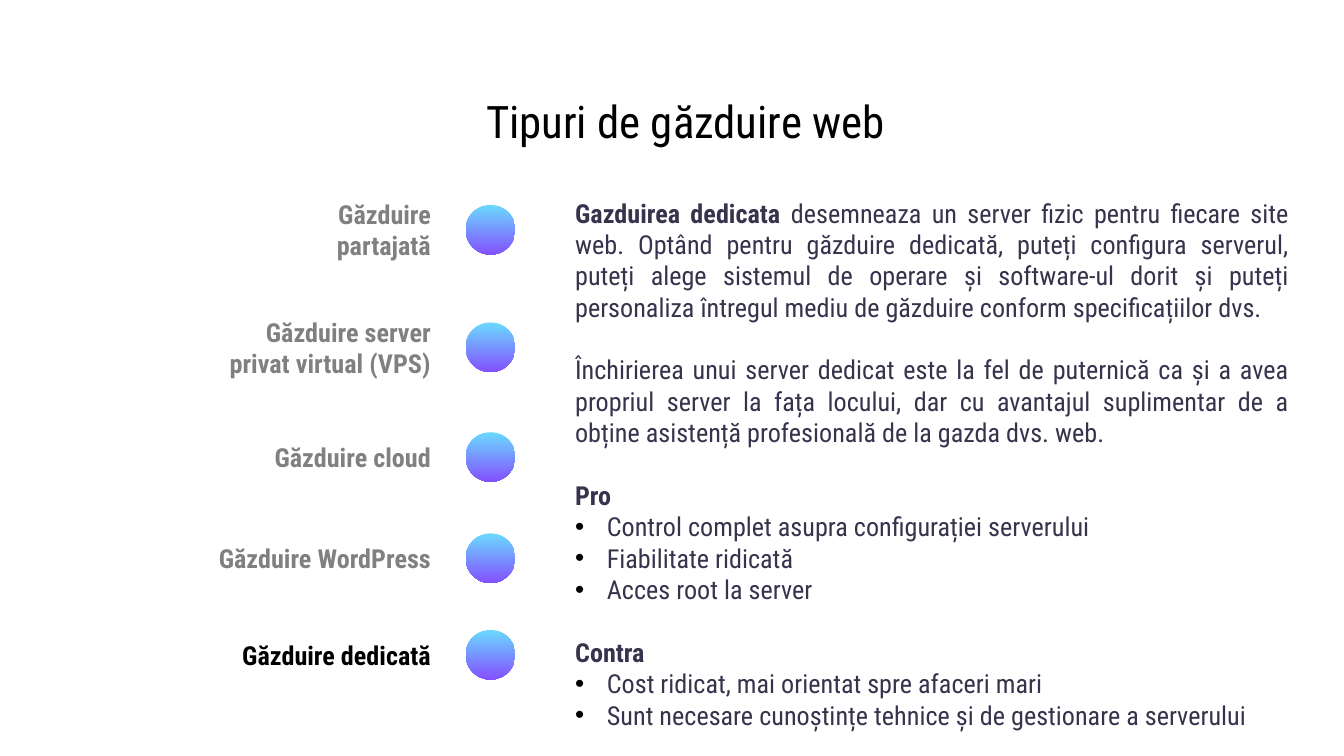
from lxml import etree
from pptx import Presentation
from pptx.dml.color import RGBColor as RGB
from pptx.enum.shapes import MSO_SHAPE as SHAPE
from pptx.enum.text import MSO_ANCHOR as ANCHOR, PP_ALIGN as ALIGN
from pptx.oxml.ns import qn
from pptx.util import Pt

COLORS = {
    "black": "000000",
    "muted": "808080",
    "body": "36344D",
    "dot_top": "6BD9FE",
    "dot_bottom": "8450FF",
}
FONT = "Roboto Condensed"
DOT_LEFT, DOT_SIZE = 249.5, 26.6
LABEL_RIGHT = 238
LINE, INDENT = 16.8, 17

TYPES = [
    ("Găzduire partajată", 109.8, 108),
    ("Găzduire server\nprivat virtual (VPS)", 172.8, 141),
    ("Găzduire cloud", 231.6, 151),
    ("Găzduire WordPress", 285.8, 132),
    ("Găzduire dedicată", 337.5, 132),
]
INTRO = [
    ("Gazduirea dedicata ",
     "desemneaza un server fizic pentru fiecare site web. Optând pentru găzduire "
     "dedicată, puteți configura serverul, puteți alege sistemul de operare și "
     "software-ul dorit și puteți personaliza întregul mediu de găzduire conform "
     "specificațiilor dvs."),
    ("",
     "Închirierea unui server dedicat este la fel de puternică ca și a avea propriul "
     "server la fața locului, dar cu avantajul suplimentar de a obține asistență "
     "profesională de la gazda dvs. web."),
]
LISTS = {
    "Pro": [
        "Control complet asupra configurației serverului",
        "Fiabilitate ridicată",
        "Acces root la server",
    ],
    "Contra": [
        "Cost ridicat, mai orientat spre afaceri mari",
        "Sunt necesare cunoștințe tehnice și de gestionare a serverului",
    ],
}


class Deck:
    def __init__(self, width, height):
        self.prs = Presentation()
        self.prs.slide_width, self.prs.slide_height = Pt(width), Pt(height)
        self.s = self.prs.slides.add_slide(self.prs.slide_layouts[6])

    def color(self, name):
        return RGB.from_string(COLORS[name])

    def style(self, font, size, color, bold=False):
        font.name, font.size, font.bold = FONT, Pt(size), bold
        font.color.rgb = self.color(color)

    def box(self, x, y, w, h):
        tf = self.s.shapes.add_textbox(Pt(x), Pt(y), Pt(w), Pt(h)).text_frame
        tf.word_wrap = True
        tf.vertical_anchor = ANCHOR.MIDDLE
        tf.margin_left = tf.margin_right = tf.margin_top = tf.margin_bottom = Pt(7.2)
        return tf

    def text(self, x, y, w, h, text, align, size, color, bold=False):
        tf = self.box(x, y, w, h)
        tf.text = text
        for p in tf.paragraphs:
            p.alignment = align
            for r in p.runs:
                self.style(r.font, size, color, bold)

    def dot(self, x, y, size):
        sp = self.s.shapes.add_shape(SHAPE.OVAL, Pt(x), Pt(y), Pt(size), Pt(size))
        sp.shadow.inherit = False
        sp.line.fill.background()
        sp.fill.gradient()
        sp.fill.gradient_angle = 270
        for stop, name in zip(sp.fill.gradient_stops, ("dot_top", "dot_bottom")):
            stop.color.rgb = self.color(name)

    def bullet(self, p):
        pPr = p._p.get_or_add_pPr()
        pPr.set("marL", str(Pt(INDENT)))
        pPr.set("indent", str(-Pt(INDENT)))
        clr = etree.SubElement(pPr, qn("a:buClr"))
        etree.SubElement(clr, qn("a:srgbClr"), val=COLORS["black"])
        etree.SubElement(pPr, qn("a:buFont"), typeface="Arial")
        etree.SubElement(pPr, qn("a:buChar"), char="•")

    def paragraph(self, tf, lead="", rest="", bullet=False):
        first = not tf.paragraphs[0].runs
        p = tf.paragraphs[0] if first else tf.add_paragraph()
        if bullet:
            self.bullet(p)
        elif not first:
            p.space_before = Pt(LINE)
        p.alignment = ALIGN.JUSTIFY
        for text, bold in ((lead, True), (rest, False)):
            if text:
                r = p.add_run()
                r.text = text
                self.style(r.font, 14, "body", bold)


def main():
    deck = Deck(720, 405)
    deck.text(129.6, 41.8, 475.2, 45.4, "Tipuri de găzduire web", ALIGN.CENTER, 24, "black")

    for label, y, w in TYPES:
        color = "black" if label == TYPES[-1][0] else "muted"
        deck.dot(DOT_LEFT, y, DOT_SIZE)
        deck.text(LABEL_RIGHT - w, y, w, DOT_SIZE, label, ALIGN.RIGHT, 14, color, True)

    tf = deck.box(301, 103.7, 396.7, 289.4)
    for lead, rest in INTRO:
        deck.paragraph(tf, lead, rest)
    for heading, items in LISTS.items():
        deck.paragraph(tf, heading)
        for item in items:
            deck.paragraph(tf, rest=item, bullet=True)

    deck.prs.save("out.pptx")


if __name__ == "__main__":
    main()
